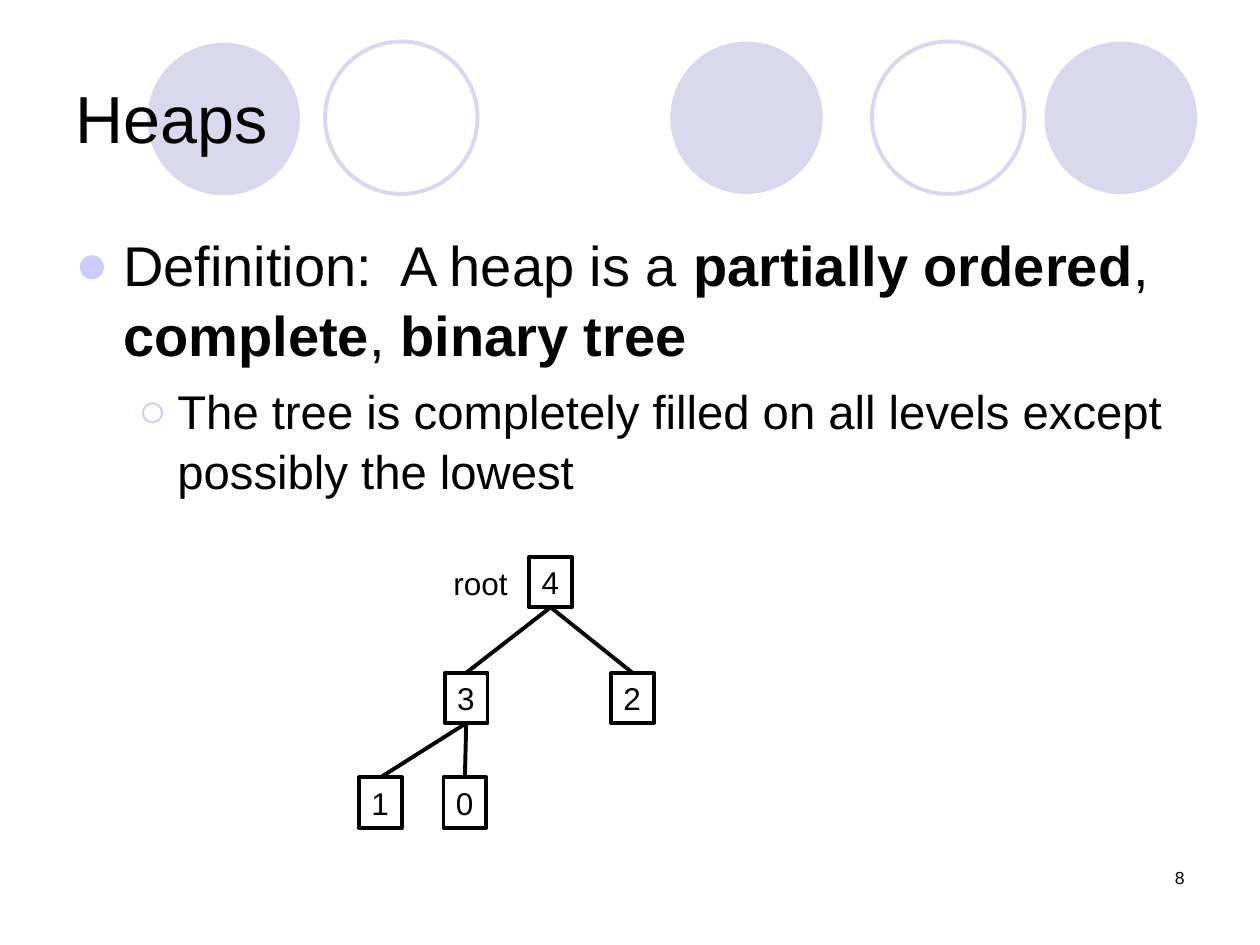
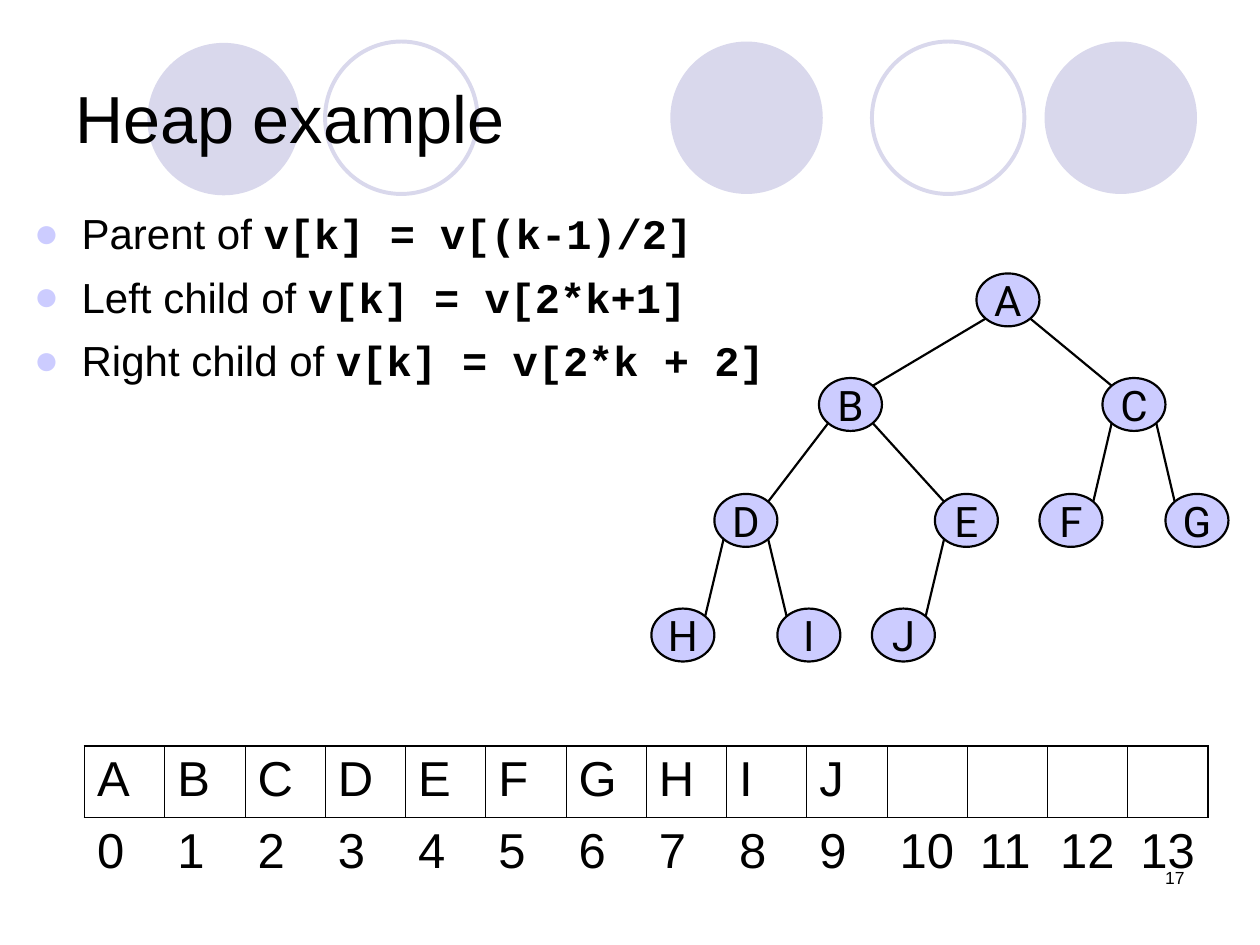
from dataclasses import dataclass
from math import sqrt
from typing import Any, Optional

from lxml import etree
from pptx import Presentation
from pptx.dml.color import RGBColor
from pptx.enum.shapes import MSO_CONNECTOR, MSO_SHAPE
from pptx.enum.text import MSO_ANCHOR, MSO_AUTO_SIZE, PP_ALIGN
from pptx.oxml.ns import qn
from pptx.util import Inches, Pt

ELLIPSE, RECTANGLE = MSO_SHAPE.OVAL, MSO_SHAPE.RECTANGLE
STRAIGHT = MSO_CONNECTOR.STRAIGHT
MIDDLE, TOP = MSO_ANCHOR.MIDDLE, MSO_ANCHOR.TOP
LEFT, CENTER, RIGHT = PP_ALIGN.LEFT, PP_ALIGN.CENTER, PP_ALIGN.RIGHT
GROW = MSO_AUTO_SIZE.SHAPE_TO_FIT_TEXT

COLORS = {"ink": "000000", "band": "D9D8EC", "accent": "CCCCFF"}
SANS, MONO, NODE_FONT = "Arial", "Courier New", "Roboto"
SITE_TOP, SITE_BOTTOM = 0, 2
THICK, THIN = 2.25, 1.25


@dataclass(frozen=True)
class Circle:
    left: float
    top: float
    filled: bool


@dataclass(frozen=True)
class Span:
    text: str
    bold: bool = False
    font: str = SANS


@dataclass(frozen=True)
class Bullet:
    spans: tuple[Span, ...]
    size: float
    before: float
    mark: str = "●"
    left: float = 0.38
    hanging: float = 0.38


@dataclass(frozen=True)
class Node:
    label: str
    left: float
    top: float


CIRCLE_SIZE = 1.21
CIRCLES = (
    Circle(5.32, 0.33, True),
    Circle(8.29, 0.33, True),
    Circle(1.17, 0.34, True),
    Circle(6.92, 0.33, False),
    Circle(2.58, 0.33, False),
)

DEFINITION = (
    Bullet((Span("Definition:  A heap is a "), Span("partially ordered", True),
            Span(", "), Span("complete", True), Span(", "),
            Span("binary tree", True)), 32, 8),
    Bullet((Span("The tree is completely filled on all levels except "
                 "possibly the lowest"),), 27, 6.8, "○", 0.81, 0.31),
)
INDEX_RULES = tuple(
    Bullet((Span(f"{relative} of "), Span(formula, True, MONO)), 24, 6)
    for relative, formula in (
        ("Parent", "v[k] = v[(k-1)/2]"),
        ("Left child", "v[k] = v[2*k+1]"),
        ("Right child", "v[k] = v[2*k + 2]"),
    )
)

# Nodes are in heap order: the parent of node k is node (k - 1) // 2.
BOX_WIDTH, BOX_HEIGHT = 0.34, 0.4
BOX_NODES = (
    Node("4", 4.2, 4.42),
    Node("3", 3.53, 5.34), Node("2", 4.85, 5.34),
    Node("1", 2.85, 6.17), Node("0", 3.52, 6.17),
)
OVAL_WIDTH, OVAL_HEIGHT = 0.5, 0.42
OVAL_LEVELS = (
    (2.17, "A", (7.75,)),
    (3, "BC", (6.5, 8.75)),
    (3.92, "DEFG", (5.67, 7.42, 8.25, 9.25)),
    (4.83, "HIJ", (5.17, 6.17, 6.92)),
)
OVAL_NODES = tuple(
    Node(label, left, top)
    for top, labels, lefts in OVAL_LEVELS
    for label, left in zip(labels, lefts)
)
ARRAY_LENGTH = 14
OUTER_BORDER, INNER_BORDER = 1.08, 0.45


def rgb(name: str) -> RGBColor:
    return RGBColor.from_string(COLORS[name])


def apply_format(target: Any, values: dict[str, Any]) -> None:
    for name, value in values.items():
        setattr(target, name, value)


def add_span(para: Any, span: Span, size: float) -> None:
    run = para.add_run()
    run.text = span.text
    apply_format(run.font, {"name": span.font, "size": Pt(size), "bold": span.bold})
    run.font.color.rgb = rgb("ink")


def write(shape: Any, span: Span, size: float, align: Any = LEFT,
          **frame_format: Any) -> None:
    """Put one formatted line of text in a shape."""
    apply_format(shape.text_frame, frame_format)
    para = shape.text_frame.paragraphs[0]
    para.alignment = align
    add_span(para, span, size)


def add_box(page: Any, left: float, top: float, width: float, height: float) -> Any:
    return page.shapes.add_textbox(
        Inches(left), Inches(top), Inches(width), Inches(height))


def add_outline(page: Any, kind: Any, left: float, top: float, width: float,
                height: float, fill: Optional[str], line: Optional[str],
                weight: float = THICK) -> Any:
    shape = page.shapes.add_shape(
        kind, Inches(left), Inches(top), Inches(width), Inches(height))
    shape.shadow.inherit = False
    if fill:
        shape.fill.solid()
        shape.fill.fore_color.rgb = rgb(fill)
    else:
        shape.fill.background()
    if line:
        shape.line.color.rgb = rgb(line)
        shape.line.width = Pt(weight)
    else:
        shape.line.fill.background()
    return shape


def add_edge(page: Any, start: tuple[float, float], end: tuple[float, float],
             weight: float) -> Any:
    edge = page.shapes.add_connector(
        STRAIGHT, *(Inches(value) for value in (*start, *end)))
    edge.line.color.rgb = rgb("ink")
    edge.line.width = Pt(weight)
    etree.SubElement(edge._element.spPr, qn("a:effectLst"))
    return edge


def add_page(deck: Any, title: str, number: int) -> Any:
    """Start a slide with its band of circles, title and page number."""
    page = deck.slides.add_slide(deck.slide_layouts[6])
    for circle in CIRCLES:
        fill, line = ("band", None) if circle.filled else (None, "band")
        add_outline(page, ELLIPSE, circle.left, circle.top,
                    CIRCLE_SIZE, CIRCLE_SIZE, fill, line)
    write(add_box(page, 0.5, 0.3, 9, 1.25), Span(title), 38,
          word_wrap=True, vertical_anchor=MIDDLE)
    write(add_box(page, 7.17, 6.83, 2.33, 0.5), Span(str(number)), 10, RIGHT,
          word_wrap=True)
    return page


def set_bullet(para: Any, bullet: Bullet) -> None:
    properties = para._p.get_or_add_pPr()
    properties.set("marL", str(Inches(bullet.left)))
    properties.set("indent", str(-Inches(bullet.hanging)))
    color = etree.SubElement(properties, qn("a:buClr"))
    etree.SubElement(color, qn("a:srgbClr"), val=COLORS["accent"])
    etree.SubElement(properties, qn("a:buFont"), typeface=SANS)
    etree.SubElement(properties, qn("a:buChar"), char=bullet.mark)


def add_bullets(page: Any, left: float, top: float,
                bullets: tuple[Bullet, ...]) -> None:
    frame = add_box(page, left, top, 9, 4.95).text_frame
    frame.word_wrap = True
    for index, bullet in enumerate(bullets):
        para = frame.add_paragraph() if index else frame.paragraphs[0]
        apply_format(para, {"space_before": Pt(bullet.before), "line_spacing": 1.05})
        set_bullet(para, bullet)
        for span in bullet.spans:
            add_span(para, span, bullet.size)


def add_box_tree(page: Any) -> None:
    boxes = []
    for node in BOX_NODES:
        box = add_outline(page, RECTANGLE, node.left, node.top,
                          BOX_WIDTH, BOX_HEIGHT, None, "ink")
        write(box, Span(node.label), 18, word_wrap=False,
              vertical_anchor=TOP, auto_size=GROW)
        boxes.append(box)
    for index, box in enumerate(boxes[1:], start=1):
        edge = add_edge(page, (0, 0), (0, 0), THICK)
        edge.begin_connect(boxes[(index - 1) // 2], SITE_BOTTOM)
        edge.end_connect(box, SITE_TOP)


def oval_corner(node: Node, across: int, down: int) -> tuple[float, float]:
    """Point on the oval at 45 degrees; the signs choose the quadrant."""
    return (node.left + OVAL_WIDTH / 2 * (1 + across / sqrt(2)),
            node.top + OVAL_HEIGHT / 2 * (1 + down / sqrt(2)))


def add_oval_tree(page: Any) -> None:
    for node in OVAL_NODES:
        oval = add_outline(page, ELLIPSE, node.left, node.top,
                           OVAL_WIDTH, OVAL_HEIGHT, "accent", "ink", THIN)
        write(oval, Span(node.label, font=NODE_FONT), 24, CENTER,
              word_wrap=False, vertical_anchor=MIDDLE)
    for index, child in enumerate(OVAL_NODES[1:], start=1):
        side = -1 if index % 2 else 1
        parent = OVAL_NODES[(index - 1) // 2]
        add_edge(page, oval_corner(parent, side, 1),
                 oval_corner(child, -side, -1), THIN)


def set_borders(cell: Any, widths: dict[str, float]) -> None:
    """Set the L, R, T and B borders in points; 0 means none."""
    properties = cell._tc.get_or_add_tcPr()
    for position, side in enumerate("LRTB"):
        line = etree.Element(qn(f"a:ln{side}"), w=str(Pt(widths[side])))
        if widths[side]:
            fill = etree.SubElement(line, qn("a:solidFill"))
            etree.SubElement(fill, qn("a:srgbClr"), val=COLORS["ink"])
        else:
            etree.SubElement(line, qn("a:noFill"))
        properties.insert(position, line)


def add_array(page: Any) -> None:
    """Draw the heap's array, with the indices below its cells."""
    table = page.shapes.add_table(
        2, ARRAY_LENGTH, Inches(0.67), Inches(5.92), Inches(8.92), Inches(1.13)).table
    apply_format(table, {"first_row": False, "horz_banding": False})
    labels = [node.label for node in OVAL_NODES]
    last = ARRAY_LENGTH - 1
    for column in range(ARRAY_LENGTH):
        value, index = table.cell(0, column), table.cell(1, column)
        for cell in (value, index):
            cell.fill.background()
        if column < len(labels):
            write(value, Span(labels[column]), 28)
        write(index, Span(str(column)), 28)
        set_borders(value, {
            "L": INNER_BORDER if column else OUTER_BORDER,
            "R": OUTER_BORDER if column == last else INNER_BORDER,
            "T": OUTER_BORDER, "B": INNER_BORDER})
        set_borders(index, {"L": 0, "R": 0, "T": INNER_BORDER, "B": 0})


def build_definition(deck: Any) -> None:
    page = add_page(deck, "Heaps", 8)
    add_bullets(page, 0.5, 1.75, DEFINITION)
    add_box_tree(page)
    write(add_box(page, 3.5, 4.43, 0.63, 0.4), Span("root"), 18,
          word_wrap=False, auto_size=GROW)


def build_example(deck: Any) -> None:
    page = add_page(deck, "Heap example", 17)
    add_bullets(page, 0.17, 1.58, INDEX_RULES)
    add_array(page)
    add_oval_tree(page)


def main() -> None:
    deck = Presentation()
    apply_format(deck, {"slide_width": Inches(10), "slide_height": Inches(7.5)})
    build_definition(deck)
    build_example(deck)
    deck.save("out.pptx")


if __name__ == "__main__":
    main()
